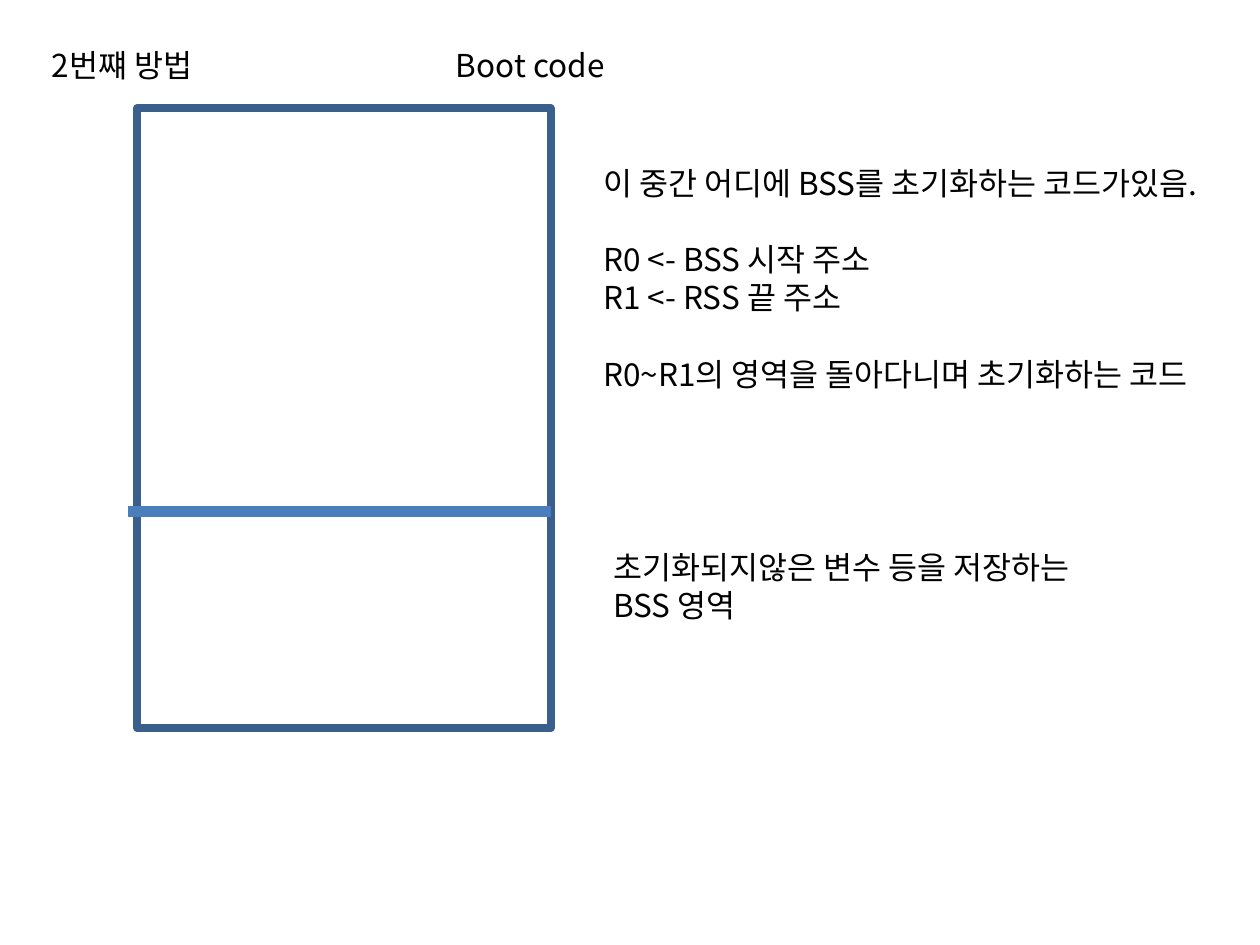
from dataclasses import dataclass

from lxml import etree
from pptx import Presentation
from pptx import util as u
from pptx.dml.color import RGBColor
from pptx.enum import shapes, text
from pptx.oxml.ns import qn


@dataclass(frozen=True)
class Theme:
    font: str = "Noto Sans CJK KR"
    size: float = 18
    line_height: float = 21.8
    ink: str = "000000"
    frame: str = "3A5F8C"
    divider: str = "4B7EBC"
    frame_width: float = 4.5
    divider_width: float = 6


THEME = Theme()
HEADING_TOP = 0.31
HEADING_HEIGHT = 0.4
MEMORY_LEFT, MEMORY_TOP, MEMORY_WIDTH, MEMORY_HEIGHT = 1.09, 0.86, 3.28, 4.92
BSS_TOP = 4.06


def place(shape, left, top, width, height):
    shape.left, shape.top = u.Inches(left), u.Inches(top)
    shape.width, shape.height = u.Inches(width), u.Inches(height)


def style_line(line, color, width):
    line.color.rgb = RGBColor.from_string(color)
    line.width = u.Pt(width)


def write(shape, groups, size=THEME.size, color=THEME.ink, font=THEME.font):
    """Write groups of lines, with one line of space between groups."""
    frame = shape.text_frame
    frame.word_wrap = False
    frame.auto_size = text.MSO_AUTO_SIZE.SHAPE_TO_FIT_TEXT
    frame.vertical_anchor = text.MSO_ANCHOR.TOP
    paragraph = None
    for group in groups:
        for index, line in enumerate(group):
            starts_new_group = paragraph is not None and index == 0
            paragraph = frame.paragraphs[0] if paragraph is None else frame.add_paragraph()
            paragraph.alignment = text.PP_ALIGN.LEFT
            paragraph.line_spacing = u.Pt(THEME.line_height)
            paragraph.space_before = u.Pt(THEME.line_height if starts_new_group else 0)
            run = paragraph.add_run()
            run.text = line
            run.font.size = u.Pt(size)
            run.font.color.rgb = RGBColor.from_string(color)
            run.font.name = font
            # Hangul takes its typeface from the East Asian font slot.
            etree.SubElement(run.font._element, qn("a:ea"), typeface=font)


def add_text(slide, box, groups, **style):
    shape = slide.shapes.add_textbox(*map(u.Inches, box))
    write(shape, groups, **style)
    place(shape, *box)


def add_title(slide, box, title, **style):
    place(slide.shapes.title, *box)
    write(slide.shapes.title, [[title]], **style)


def add_memory_frame(slide):
    box = (MEMORY_LEFT, MEMORY_TOP, MEMORY_WIDTH, MEMORY_HEIGHT)
    frame = slide.shapes.add_shape(shapes.MSO_SHAPE.RECTANGLE, *map(u.Inches, box))
    frame.shadow.inherit = False
    frame.fill.background()
    style_line(frame.line, THEME.frame, THEME.frame_width)


def add_divider(slide, left, right, top):
    divider = slide.shapes.add_connector(
        shapes.MSO_CONNECTOR.STRAIGHT, *map(u.Inches, (left, top, right, top)))
    style_line(divider.line, THEME.divider, THEME.divider_width)
    etree.SubElement(divider._element.spPr, qn("a:effectLst"))


def main():
    presentation = Presentation()
    presentation.slide_width, presentation.slide_height = u.Inches(10), u.Inches(7.5)
    title_only = presentation.slide_layouts.get_by_name("Title Only")
    slide = presentation.slides.add_slide(title_only)

    add_memory_frame(slide)
    add_divider(slide, 1.02, MEMORY_LEFT + MEMORY_WIDTH, BSS_TOP)
    add_text(slide, (4.77, 4.3, 4.26, 0.71),
             [["초기화되지않은 변수 등을 저장하는", "BSS 영역"]])
    add_text(slide, (3.52, HEADING_TOP, 1.39, HEADING_HEIGHT), [["Boot code"]])
    add_text(slide, (4.69, 1.25, 5.42, 1.92), [
        ["이 중간 어디에 BSS를 초기화하는 코드가있음."],
        ["R0 <- BSS 시작 주소", "R1 <- RSS 끝 주소"],
        ["R0~R1의 영역을 돌아다니며 초기화하는 코드"],
    ])
    add_title(slide, (0.31, HEADING_TOP, 1.44, HEADING_HEIGHT), "2번쨰 방법")

    presentation.save("out.pptx")


if __name__ == "__main__":
    main()
